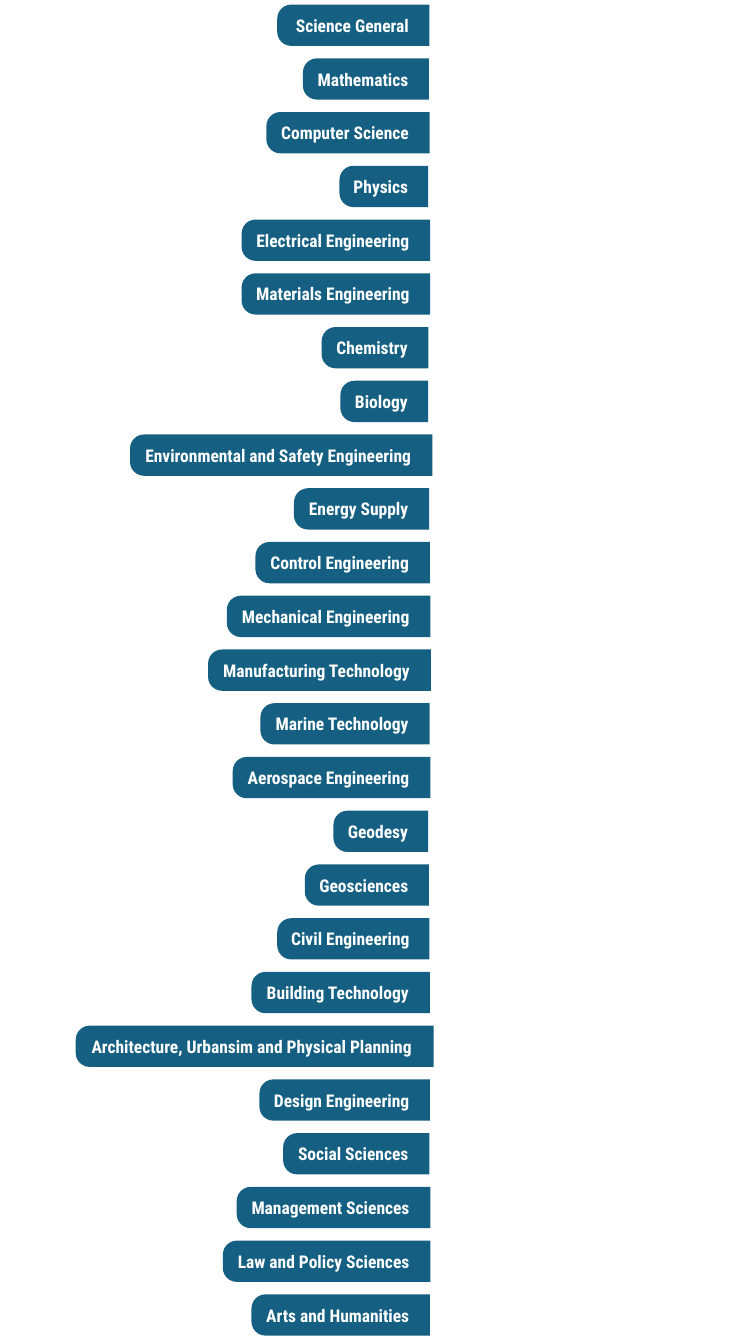
from pptx import Presentation
from pptx.dml.color import RGBColor
from pptx.enum.shapes import MSO_SHAPE
from pptx.enum.text import MSO_ANCHOR, MSO_AUTO_SIZE, PP_ALIGN
from pptx.util import Inches, Pt

COLORS = {"tab": "156082", "text": "FFFFFF"}
FONT = "Roboto Condensed"

TAB_HEIGHT = 0.41
FIRST_CENTER = 0.25
PITCH = 0.533

# Subject and tab width in inches
SUBJECTS = [
    (" Science General", 1.51),
    ("Mathematics", 1.25),
    ("Computer Science", 1.62),
    ("Physics", 0.88),
    ("Electrical Engineering", 1.87),
    ("Materials Engineering", 1.87),
    ("Chemistry", 1.06),
    ("Biology", 0.87),
    ("Environmental and Safety Engineering", 3.0),
    ("Energy Supply", 1.34),
    ("Control Engineering", 1.73),
    ("Mechanical Engineering", 2.02),
    ("Manufacturing Technology", 2.21),
    ("Marine Technology", 1.68),
    ("Aerospace Engineering", 1.96),
    ("Geodesy", 0.94),
    ("Geosciences", 1.23),
    ("Civil Engineering", 1.51),
    ("Building Technology", 1.77),
    ("Architecture, Urbansim and Physical Planning", 3.55),
    ("Design Engineering", 1.69),
    ("Social Sciences", 1.45),
    ("Management Sciences", 1.92),
    ("Law and Policy Sciences", 2.06),
    ("Arts and Humanities", 1.77),
]


def write(tf, text, size=12.5, bold=True, color="text", align=PP_ALIGN.CENTER):
    p = tf.paragraphs[0]
    p.alignment = align
    r = p.add_run()
    r.text = text
    r.font.name = FONT
    r.font.size = Pt(size)
    r.font.bold = bold
    r.font.color.rgb = RGBColor.from_string(COLORS[color])


class Deck:
    def __init__(self, width, height):
        self.prs = Presentation()
        self.prs.slide_width = Inches(width)
        self.prs.slide_height = Inches(height)
        self.s = self.prs.slides.add_slide(self.prs.slide_layouts[6])

    def tab(self, text, right, center, width):
        """Add a tab rounded on its left: an upright shape turned by 270 degrees."""
        sp = self.s.shapes.add_shape(
            MSO_SHAPE.ROUND_2_SAME_RECTANGLE,
            Inches(right - width / 2 - TAB_HEIGHT / 2),
            Inches(center - width / 2),
            Inches(TAB_HEIGHT), Inches(width))
        sp.rotation = 270
        sp.adjustments[0] = 0.34
        sp.adjustments[1] = 0
        sp.shadow.inherit = False
        sp.fill.solid()
        sp.fill.fore_color.rgb = RGBColor.from_string(COLORS["tab"])
        sp.line.fill.background()

        tf = sp.text_frame
        tf.margin_left = tf.margin_right = Inches(0.06)
        tf.margin_top, tf.margin_bottom = Inches(0.1), Inches(0.2)
        tf.vertical_anchor = MSO_ANCHOR.MIDDLE
        tf.word_wrap = False
        tf.auto_size = MSO_AUTO_SIZE.SHAPE_TO_FIT_TEXT
        sp._element.txBody.bodyPr.set("vert", "vert")
        write(tf, text)


def main():
    deck = Deck(7.5, 13.33)
    for i, (subject, width) in enumerate(SUBJECTS):
        # Longer tabs reach slightly further to the right
        right = 4.23 + 0.02 * width
        deck.tab(subject, right, FIRST_CENTER + i * PITCH, width)
    deck.prs.save("out.pptx")


if __name__ == "__main__":
    main()
